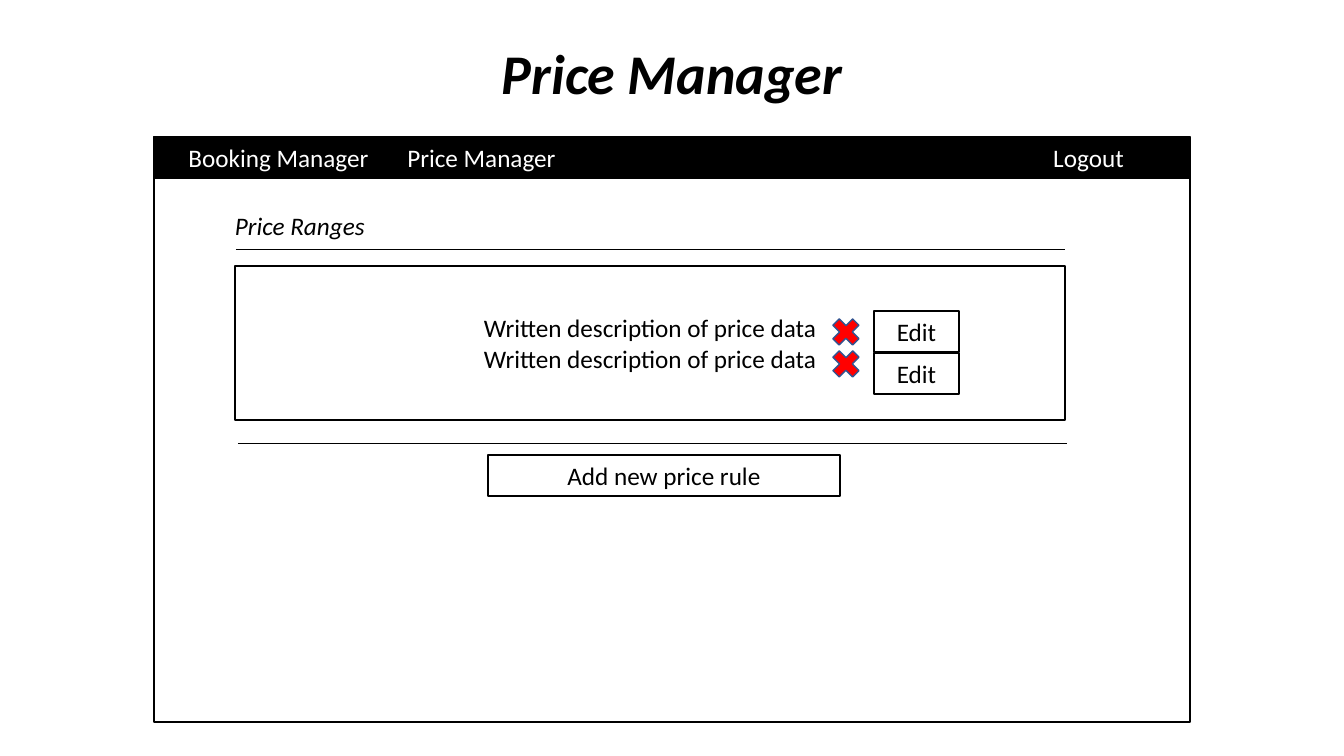
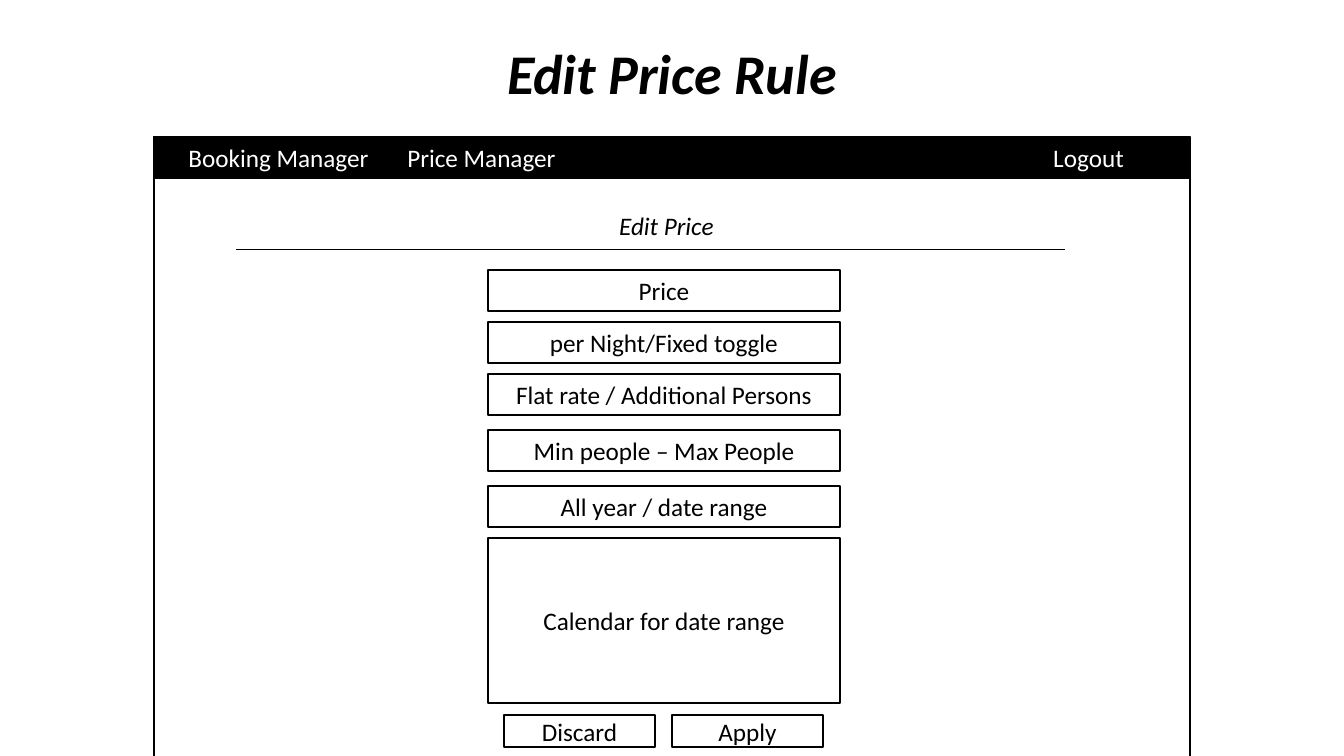
from pptx import Presentation
from pptx.dml.color import RGBColor
from pptx.enum.shapes import MSO_CONNECTOR, MSO_SHAPE
from pptx.enum.text import MSO_ANCHOR, MSO_AUTO_SIZE, PP_ALIGN
from pptx.oxml.ns import qn
from pptx.util import Emu, Pt
from lxml.etree import SubElement

BLACK = RGBColor(0x00, 0x00, 0x00)
WHITE = RGBColor(0xFF, 0xFF, 0xFF)
RED = RGBColor(0xFF, 0x00, 0x00)
NAVY = RGBColor(0x32, 0x54, 0x91)
FONT = "Calibri"
SCALE = 914400 / 100.8
WIDTH, HEIGHT = 1344, 756
TITLE_ONLY = 5

FRAME_X, FRAME_Y, FRAME_W = 154, 137, 1036
NAV_H, NAV_W = 41, 203
NAV = [(177, "Booking Manager"), (380, "Price Manager"), (987, "Logout")]
RULE_X, RULE_W = 236, 829
FIELD_X, FIELD_W, FIELD_H = 488, 352, 41


def px(*lengths):
    """Turn pixels into EMU."""
    return [Emu(round(n * SCALE)) for n in lengths]


class Wireframe:
    """Holds the style and the slide being drawn."""

    def __init__(self, prs):
        """Keep the presentation that receives the slides."""
        self.prs = prs
        self.s = None

    def put_text(self, sp, text, align=PP_ALIGN.CENTER, **font):
        """Put formatted text into a shape."""
        tf = sp.text_frame
        frame = {"word_wrap": True, "auto_size": MSO_AUTO_SIZE.NONE,
                 "vertical_anchor": MSO_ANCHOR.MIDDLE}
        for name, value in frame.items():
            setattr(tf, name, value)
        p = tf.paragraphs[0]
        p.text = text
        p.alignment = align
        color = font.pop("color", BLACK)
        style = {"name": FONT, "size": Pt(18), **font}
        for r in p.runs:
            r.font.color.rgb = color
            for name, value in style.items():
                setattr(r.font, name, value)

    def title(self, text):
        """Start a slide and fill its title."""
        self.s = self.prs.slides.add_slide(self.prs.slide_layouts[TITLE_ONLY])
        sp = self.s.shapes.title
        sp.left, sp.top, sp.width, sp.height = px(0, 33, WIDTH, 78)
        self.put_text(sp, text, size=Pt(40), bold=True, italic=True)

    def shape(self, x, y, w, h, kind=MSO_SHAPE.RECTANGLE, fill=WHITE, line=BLACK):
        """Draw an outlined preset shape."""
        sp = self.s.shapes.add_shape(kind, *px(x, y, w, h))
        sp.shadow.inherit = False
        sp.fill.solid()
        sp.fill.fore_color.rgb = fill
        sp.line.color.rgb = line
        sp.line.width = Pt(1)
        return sp

    def box(self, x, y, w, h, text):
        """Draw a white box with centred text."""
        self.put_text(self.shape(x, y, w, h), text)

    def field(self, y, text, h=FIELD_H):
        """Draw a box in the central column."""
        self.box(FIELD_X, y, FIELD_W, h, text)

    def label(self, x, y, w, h, text, **style):
        """Add free text."""
        self.put_text(self.s.shapes.add_textbox(*px(x, y, w, h)), text, **style)

    def rule(self, x, y):
        """Draw a thin horizontal rule."""
        ln = self.s.shapes.add_connector(MSO_CONNECTOR.STRAIGHT,
                                         *px(x, y, x + RULE_W, y))
        ln.line.color.rgb = BLACK
        ln.line.width = Pt(0.5)
        SubElement(ln._element.spPr, qn("a:effectLst"))

    def cross(self, x, y):
        """Draw a red delete mark."""
        self.shape(x, y, 38, 38, MSO_SHAPE.MATH_MULTIPLY, RED, NAVY)

    def page(self, title, heading, frame_h, align):
        """Draw the title, window, navigation bar and heading."""
        self.title(title)
        self.shape(FRAME_X, FRAME_Y, FRAME_W, frame_h)
        self.shape(FRAME_X, FRAME_Y, FRAME_W, NAV_H, fill=BLACK)
        for x, text in NAV:
            self.label(x, FRAME_Y, NAV_W, NAV_H, text, color=WHITE)
        self.label(225, 205, 883, 41, heading, align=align, italic=True)
        self.rule(RULE_X, 249)


def price_manager(wf):
    """Build the list of price rules."""
    wf.page("Price Manager", "Price Ranges", 585, PP_ALIGN.LEFT)
    rows = 2
    wf.box(235, 266, 830, 154,
           "\n".join(["Written description of price data"] * rows))
    wf.rule(RULE_X + 2, 443)
    for i in range(rows):
        wf.cross(827, 313 + 32 * i)
        wf.box(874, 311 + 42 * i, 85, 41, "Edit")
    wf.field(455, "Add new price rule")


def edit_price_rule(wf):
    """Build the form for one price rule."""
    wf.page("Edit Price Rule", "Edit Price", 646, PP_ALIGN.CENTER)
    fields = [(270, "Price"), (322, "per Night/Fixed toggle"),
              (374, "Flat rate / Additional Persons"),
              (430, "Min people – Max People"),
              (486, "All year / date range")]
    for y, text in fields:
        wf.field(y, text)
    wf.field(538, "Calendar for date range", 165)
    for x, text in [(504, "Discard"), (672, "Apply")]:
        wf.box(x, 715, 151, 32, text)


prs = Presentation()
prs.slide_width, prs.slide_height = px(WIDTH, HEIGHT)
wf = Wireframe(prs)
price_manager(wf)
edit_price_rule(wf)
prs.save("out.pptx")
